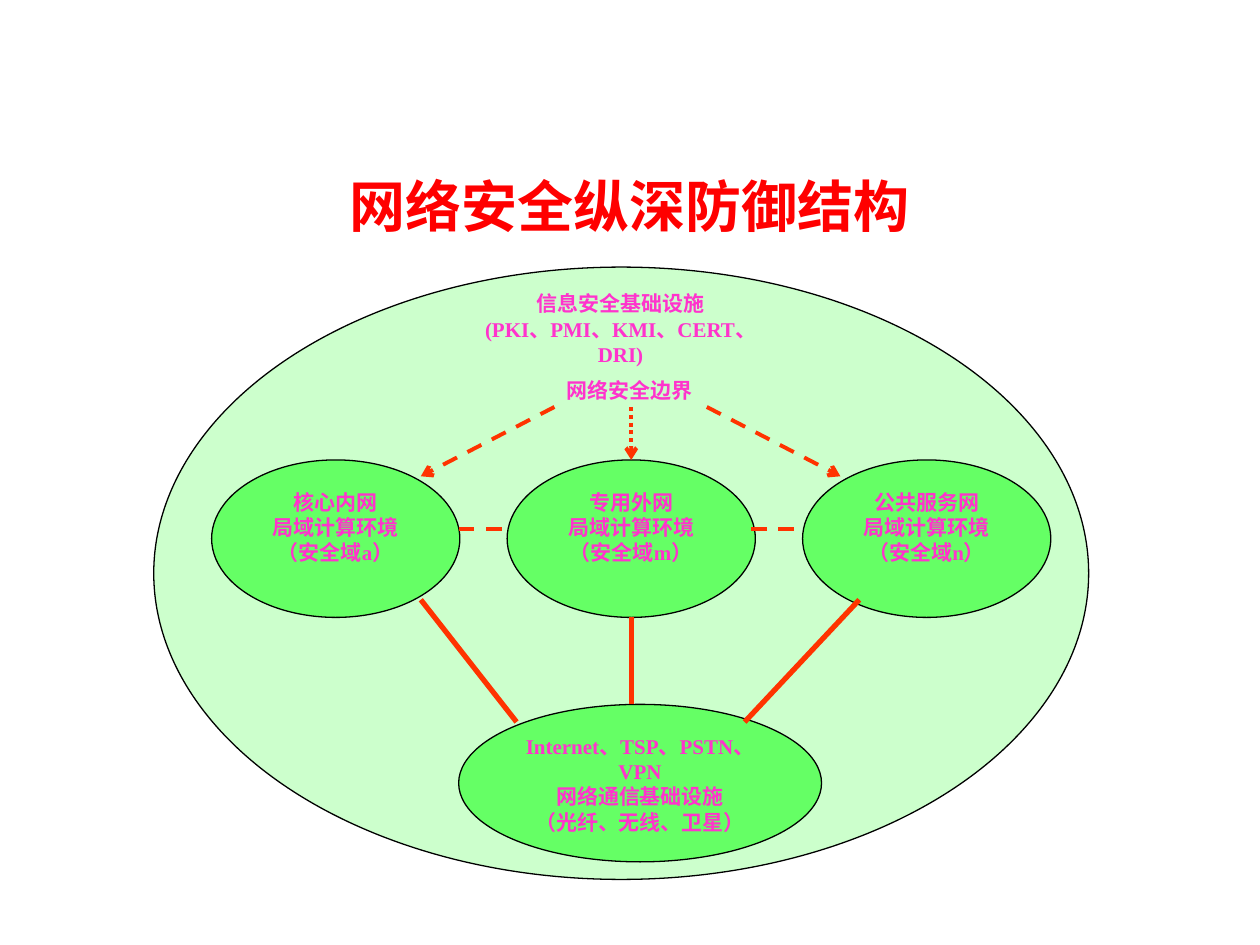
from pptx import Presentation
from pptx.dml.color import RGBColor
from pptx.enum.dml import MSO_LINE
from pptx.enum.shapes import MSO_CONNECTOR, MSO_SHAPE
from pptx.enum.text import MSO_ANCHOR, PP_ALIGN
from pptx.oxml.ns import qn
from pptx.util import Inches, Pt
from lxml.etree import SubElement

COLORS = {
    "title": "FF0000",
    "text": "FF33CC",
    "domain": "CCFFCC",
    "node": "00FF00",
    "outline": "000000",
    "link": "FF3300",
}


class Diagram:
    def __init__(self, prs):
        self.s = prs.slides.add_slide(prs.slide_layouts[6])

    def color(self, name):
        return RGBColor.from_string(COLORS[name])

    def fill_text(self, sp, lines, anchor=MSO_ANCHOR.TOP, size=12, font="Times New Roman", color="text"):
        tf = sp.text_frame
        tf.word_wrap = True
        tf.vertical_anchor = anchor
        for i, line in enumerate(lines):
            p = tf.paragraphs[0] if i == 0 else tf.add_paragraph()
            p.text = line
            p.alignment = PP_ALIGN.CENTER
            p.font.size = Pt(size)
            p.font.name = font
            p.font.bold = True
            p.font.color.rgb = self.color(color)

    def text(self, box, lines, **style):
        sp = self.s.shapes.add_textbox(*map(Inches, box))
        self.fill_text(sp, lines, **style)

    def ellipse(self, box, fill, lines=(), alpha=None):
        sp = self.s.shapes.add_shape(MSO_SHAPE.OVAL, *map(Inches, box))
        sp.shadow.inherit = False
        sp.fill.solid()
        sp.fill.fore_color.rgb = self.color(fill)
        sp.line.color.rgb = self.color("outline")
        sp.line.width = Pt(0.75)
        if alpha:
            clr = sp._element.spPr.find(qn("a:solidFill"))[0]
            SubElement(clr, qn("a:alpha"), val=str(alpha * 1000))
        self.fill_text(sp, lines)

    def link(self, start, end, width=2.25, dash=None, arrow=False):
        cn = self.s.shapes.add_connector(MSO_CONNECTOR.STRAIGHT, *map(Inches, start + end))
        cn.line.color.rgb = self.color("link")
        cn.line.width = Pt(width)
        if dash:
            cn.line.dash_style = dash
        if arrow:
            SubElement(cn._element.spPr.find(qn("a:ln")), qn("a:tailEnd"), type="arrow")
        SubElement(cn._element.spPr, qn("a:effectLst"))


def main():
    prs = Presentation()
    prs.slide_width, prs.slide_height = Inches(10), Inches(7.5)
    d = Diagram(prs)

    d.text(
        (0.5, 1.15, 9, 0.95),
        ["网络安全纵深防御结构"],
        anchor=MSO_ANCHOR.MIDDLE,
        size=32,
        font="Arial",
        color="title",
    )
    d.ellipse((1.22, 2.12, 7.42, 4.86), "domain")

    networks = [("核心内网", "a"), ("专用外网", "m"), ("公共服务网", "n")]
    for i, (name, zone) in enumerate(networks):
        lines = [name, "局域计算环境", f"（安全域{zone}）"]
        d.ellipse((1.68 + 4.69 / 2 * i, 3.65, 1.97, 1.25), "node", lines, 50)
    d.ellipse(
        (3.64, 5.59, 2.88, 1.25),
        "node",
        ["Internet、TSP、PSTN、VPN", "网络通信基础设施", "（光纤、无线、卫星）"],
        50,
    )

    d.text((3.64, 2.26, 2.57, 0.69), ["信息安全基础设施", "(PKI、PMI、KMI、CERT、DRI)"])
    d.text((4.32, 2.95, 1.36, 0.42), ["网络安全边界"])

    for start, end in [
        ((3.34, 4.76), (4.1, 5.73)),
        ((5.01, 4.9), (5.01, 5.59)),
        ((5.91, 5.73), (6.82, 4.76)),
    ]:
        d.link(start, end, 3)
    for x in (3.64, 5.96):
        d.link((x, 4.2), (x + 0.41, 4.2), dash=MSO_LINE.DASH)
    for start, end, dash in [
        ((5.01, 3.23), (5.01, 3.65), MSO_LINE.ROUND_DOT),
        ((4.4, 3.23), (3.34, 3.78), MSO_LINE.DASH),
        ((5.61, 3.23), (6.67, 3.78), MSO_LINE.DASH),
    ]:
        d.link(start, end, dash=dash, arrow=True)

    prs.save("out.pptx")


if __name__ == "__main__":
    main()
